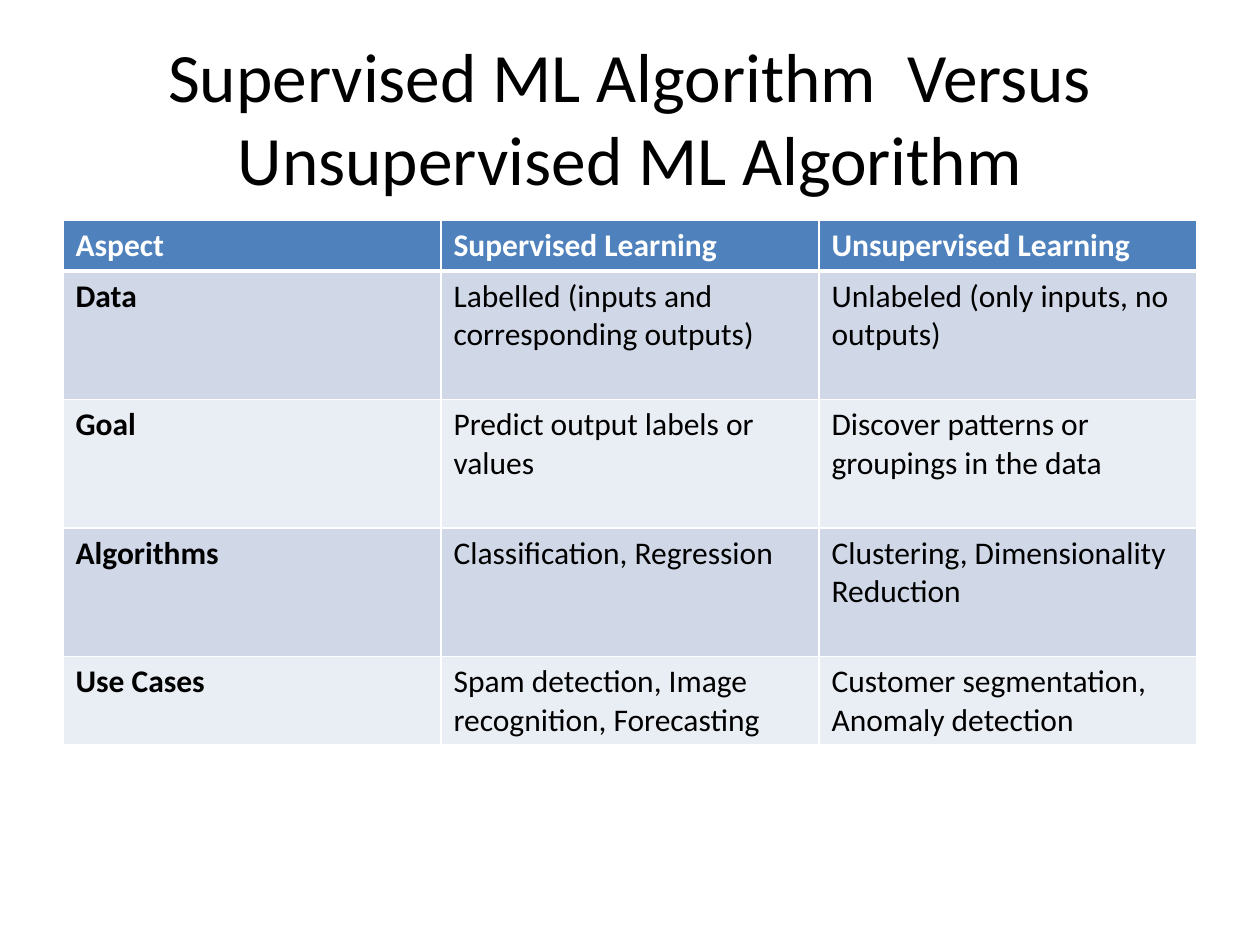
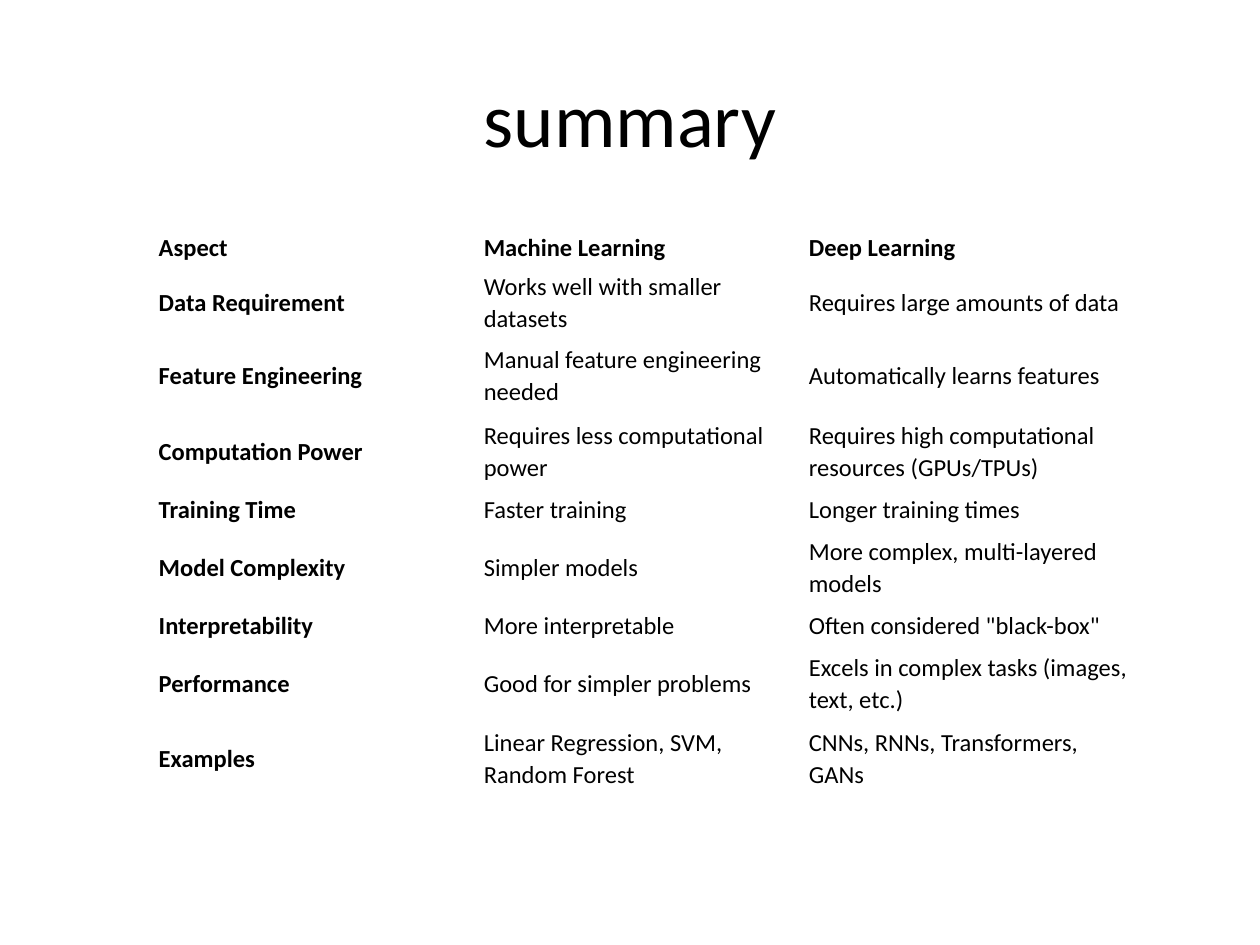
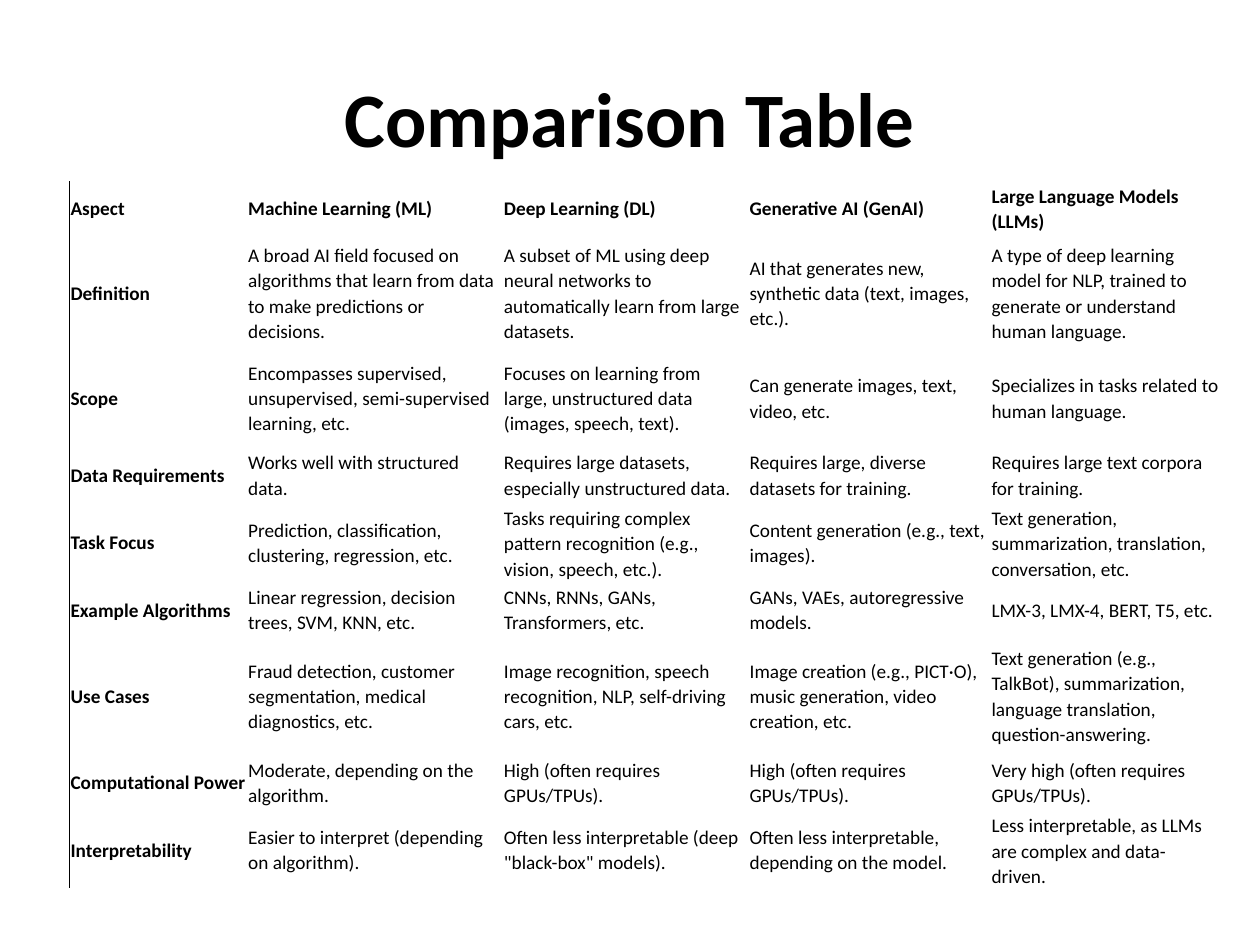
from lxml.etree import SubElement
from pptx import Presentation
from pptx.dml.color import RGBColor as RGB
from pptx.enum.text import MSO_ANCHOR as ANCHOR, PP_ALIGN as ALIGN
from pptx.oxml.ns import qn
from pptx.util import Inches, Pt

COLORS = {
    "text": "000000",
    "white": "FFFFFF",
    "header": "4F81BD",
    "band_dark": "D0D8E8",
    "band_light": "E9EDF4",
}
FONT = "Calibri"
PLAIN_STYLE = "{2D5ABB26-0587-4C30-8999-92F81FD0307C}"
SIDES = ("L", "R", "T", "B")

LEARNING_TYPES = [
    ("Aspect", "Supervised Learning", "Unsupervised Learning"),
    ("Data", "Labelled (inputs and corresponding outputs)",
     "Unlabeled (only inputs, no outputs)"),
    ("Goal", "Predict output labels or values",
     "Discover patterns or groupings in the data"),
    ("Algorithms", "Classification, Regression",
     "Clustering, Dimensionality Reduction"),
    ("Use Cases", "Spam detection, Image recognition, Forecasting",
     "Customer segmentation, Anomaly detection"),
]

ML_AND_DL = [
    ("Aspect", "Machine Learning", "Deep Learning"),
    ("Data Requirement", "Works well with smaller datasets",
     "Requires large amounts of data"),
    ("Feature Engineering", "Manual feature engineering needed",
     "Automatically learns features"),
    ("Computation Power", "Requires less computational power",
     "Requires high computational resources (GPUs/TPUs)"),
    ("Training Time", "Faster training", "Longer training times"),
    ("Model Complexity", "Simpler models",
     "More complex, multi-layered models"),
    ("Interpretability", "More interpretable",
     'Often considered "black-box"'),
    ("Performance", "Good for simpler problems",
     "Excels in complex tasks (images, text, etc.)"),
    ("Examples", "Linear Regression, SVM, Random Forest",
     "CNNs, RNNs, Transformers, GANs"),
]

AI_FIELDS = [
    ("Aspect", "Machine Learning (ML)", "Deep Learning (DL)",
     "Generative AI (GenAI)", "Large Language Models (LLMs)"),
    ("Definition",
     "A broad AI field focused on algorithms that learn from data to make "
     "predictions or decisions.",
     "A subset of ML using deep neural networks to automatically learn from "
     "large datasets.",
     "AI that generates new, synthetic data (text, images, etc.).",
     "A type of deep learning model for NLP, trained to generate or "
     "understand human language."),
    ("Scope",
     "Encompasses supervised, unsupervised, semi-supervised learning, etc.",
     "Focuses on learning from large, unstructured data (images, speech, "
     "text).",
     "Can generate images, text, video, etc.",
     "Specializes in tasks related to human language."),
    ("Data Requirements",
     "Works well with structured data.",
     "Requires large datasets, especially unstructured data.",
     "Requires large, diverse datasets for training.",
     "Requires large text corpora for training."),
    ("Task Focus",
     "Prediction, classification, clustering, regression, etc.",
     "Tasks requiring complex pattern recognition (e.g., vision, speech, "
     "etc.).",
     "Content generation (e.g., text, images).",
     "Text generation, summarization, translation, conversation, etc."),
    ("Example Algorithms",
     "Linear regression, decision trees, SVM, KNN, etc.",
     "CNNs, RNNs, GANs, Transformers, etc.",
     "GANs, VAEs, autoregressive models.",
     "LMX-3, LMX-4, BERT, T5, etc."),
    ("Use Cases",
     "Fraud detection, customer segmentation, medical diagnostics, etc.",
     "Image recognition, speech recognition, NLP, self-driving cars, etc.",
     "Image creation (e.g., PICT·O), music generation, video creation, etc.",
     "Text generation (e.g., TalkBot), summarization, language translation, "
     "question-answering."),
    ("Computational Power",
     "Moderate, depending on the algorithm.",
     "High (often requires GPUs/TPUs).",
     "High (often requires GPUs/TPUs).",
     "Very high (often requires GPUs/TPUs)."),
    ("Interpretability",
     "Easier to interpret (depending on algorithm).",
     'Often less interpretable (deep "black-box" models).',
     "Often less interpretable, depending on the model.",
     "Less interpretable, as LLMs are complex and data-driven."),
]


class Pages:
    """Holds the deck, its shared style and the slide being filled."""

    def __init__(self):
        self.deck = Presentation()
        self.deck.slide_width = Inches(10)
        self.deck.slide_height = Inches(7.5)
        self.page = None

    def add_page(self, title, size=44, bold=False):
        self.page = self.deck.slides.add_slide(self.deck.slide_layouts[6])
        box = self.page.shapes.add_textbox(
            Inches(0.5), Inches(0.3), Inches(9), Inches(1.25))
        frame = box.text_frame
        frame.word_wrap = True
        frame.vertical_anchor = ANCHOR.MIDDLE
        frame.text = title
        frame.paragraphs[0].alignment = ALIGN.CENTER
        self.format_text(frame, size, bold)

    def format_text(self, frame, size, bold, color="text"):
        for para in frame.paragraphs:
            for span in para.runs:
                span.font.name = FONT
                span.font.size = Pt(size)
                span.font.bold = bold
                span.font.color.rgb = RGB.from_string(COLORS[color])

    def add_table(self, left, top, widths, heights, rows, size):
        """Add an unstyled table whose first row and column are bold."""
        frame = self.page.shapes.add_table(
            len(rows), len(widths), Inches(left), Inches(top),
            Inches(sum(widths)), Inches(sum(heights)))
        table = frame.table
        table.first_row = table.horz_banding = False
        table._tbl.tblPr.find(qn("a:tableStyleId")).text = PLAIN_STYLE
        for column, width in zip(table.columns, widths):
            column.width = Inches(width)
        for row, height in zip(table.rows, heights):
            row.height = Inches(height)
        for r, texts in enumerate(rows):
            for c, text in enumerate(texts):
                cell = table.cell(r, c)
                cell.text = text
                cell.fill.background()
                self.format_text(cell.text_frame, size, r == 0 or c == 0)
        return table

    def add_compact_table(self, *layout):
        """Add a table with centred rows and hardly any cell margins."""
        table = self.add_table(*layout)
        for cell in table.iter_cells():
            cell.vertical_anchor = ANCHOR.MIDDLE
            cell.margin_left = cell.margin_right = Inches(0.01)
            cell.margin_top = cell.margin_bottom = Inches(0.01)
            para = cell.text_frame.paragraphs[0]
            para.line_spacing = 1.07
            para.space_after = Pt(8)
        return table

    def add_banded_table(self, *layout):
        """Add a table with a blue header, banded rows and white borders."""
        table = self.add_table(*layout)
        for r, row in enumerate(table.rows):
            band = "header" if r == 0 else ("band_light", "band_dark")[r % 2]
            widths = dict.fromkeys(SIDES, 1)
            if r < 2:
                widths["B" if r == 0 else "T"] = 3
            for cell in row.cells:
                cell.fill.solid()
                cell.fill.fore_color.rgb = RGB.from_string(COLORS[band])
                self.set_borders(cell, "white", widths)
                if r == 0:
                    self.format_text(cell.text_frame, layout[-1], True, "white")

    def set_borders(self, cell, color, widths):
        """Draw the sides named in widths; the lines must precede the fill."""
        properties = cell._tc.get_or_add_tcPr()
        sides = [side for side in SIDES if side in widths]
        for position, side in enumerate(sides):
            line = SubElement(properties, qn(f"a:ln{side}"),
                              w=str(Pt(widths[side])))
            fill = SubElement(line, qn("a:solidFill"))
            SubElement(fill, qn("a:srgbClr"), val=COLORS[color])
            properties.insert(position, line)


def main():
    pages = Pages()

    pages.add_page("Supervised ML Algorithm  Versus Unsupervised ML Algorithm",
                   size=39.6)
    pages.add_banded_table(0.5, 1.75, [3] * 3, [0.4] + [1.02] * 3 + [0.7],
                           LEARNING_TYPES, 18)

    pages.add_page("summary")
    pages.add_compact_table(
        1.25, 1.8, [2.58] * 3,
        [0.32, 0.56, 0.6, 0.6, 0.32, 0.6, 0.32, 0.6, 0.6], ML_AND_DL, 14)

    pages.add_page("Comparison Table", bold=True)
    comparison = pages.add_compact_table(
        0.55, 1.44, [1.41, 2.03, 1.95, 1.92, 1.83],
        [0.43, 0.91, 0.76, 0.46, 0.61, 0.46, 0.91, 0.46, 0.61], AI_FIELDS, 11)
    for row in comparison.rows:
        pages.set_borders(row.cells[0], "text", {"L": 1})

    pages.deck.save("out.pptx")


if __name__ == "__main__":
    main()
